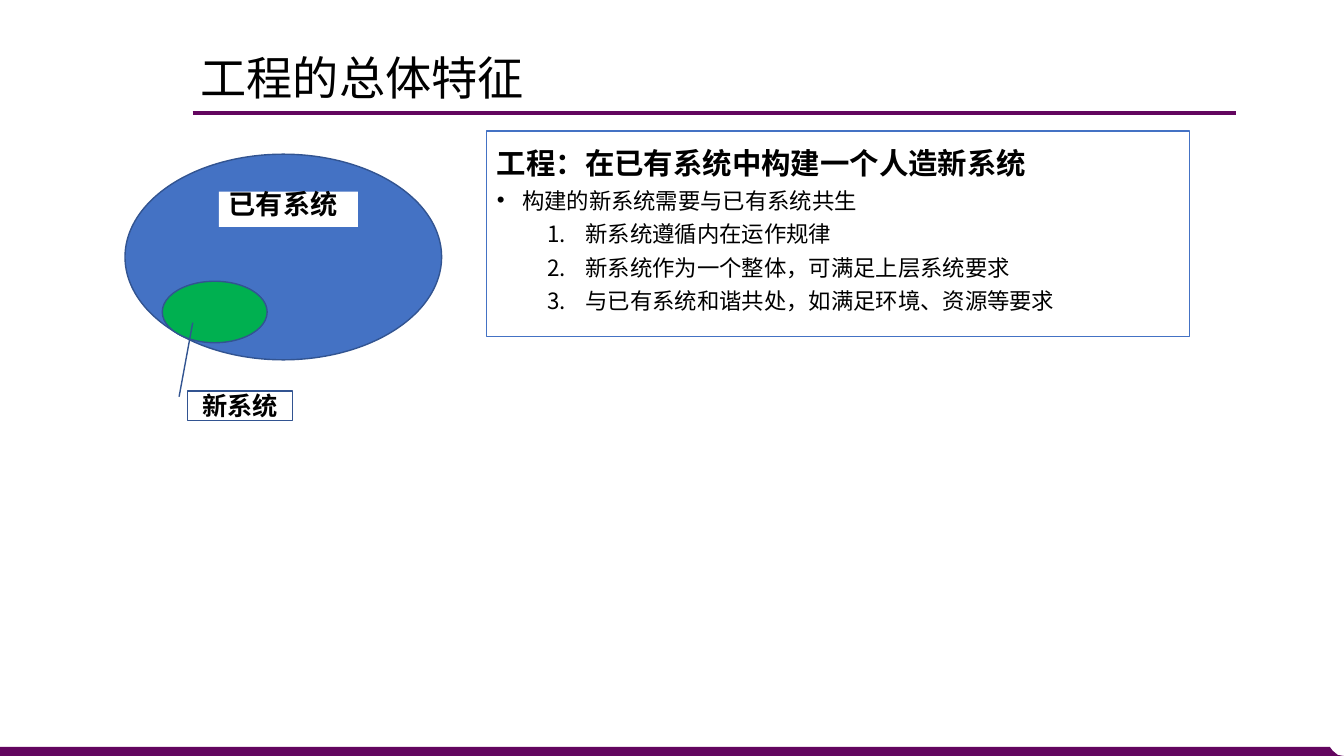
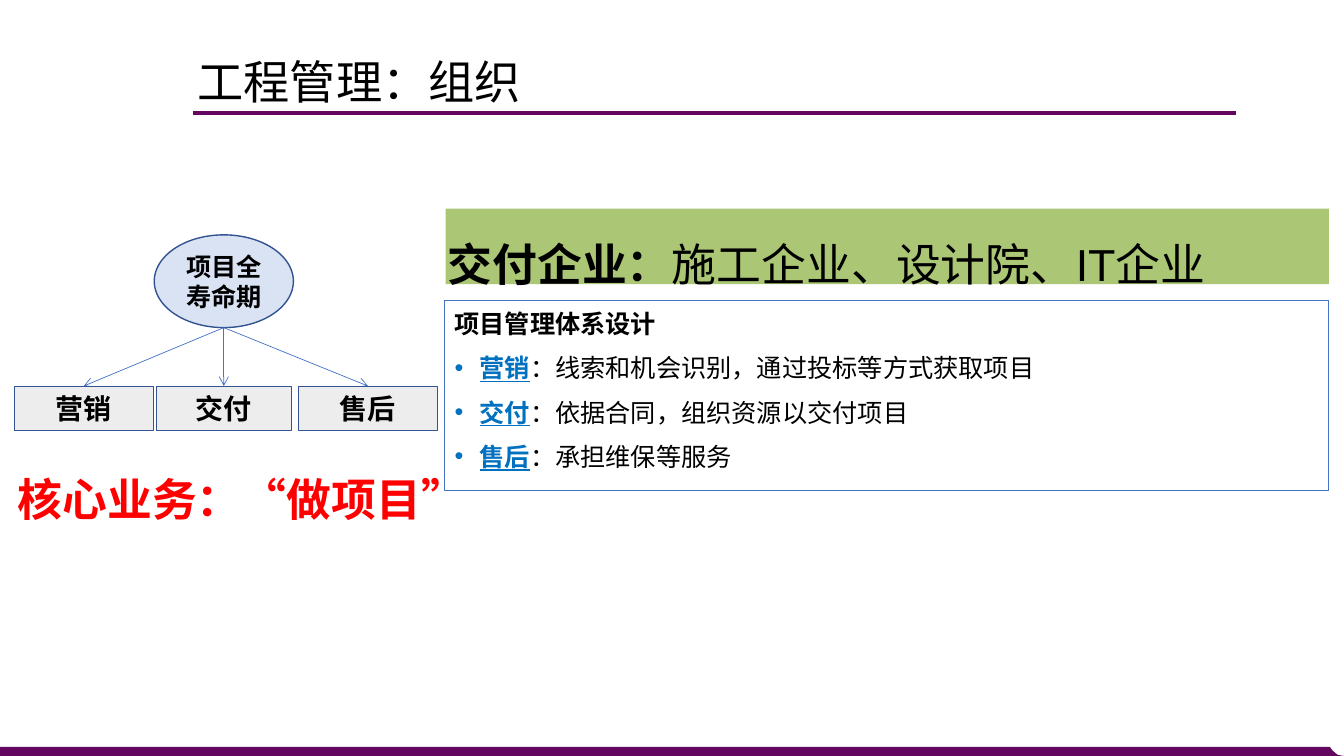
"""Two slides on engineering: its general features and its organisation."""
import pptx
import pptx.util
import pptx.dml.color
import pptx.enum.shapes
import pptx.enum.text
import pptx.oxml.ns
from lxml import etree

Inches, Pt = pptx.util.Inches, pptx.util.Pt
RGBColor = pptx.dml.color.RGBColor
SHAPE = pptx.enum.shapes.MSO_SHAPE
ALIGN = pptx.enum.text.PP_ALIGN
ANCHOR = pptx.enum.text.MSO_ANCHOR
qn = pptx.oxml.ns.qn

W, H = 13.33, 7.5
LATIN, CJK = "Arial", "Noto Sans CJK SC"
PURPLE = RGBColor(0x63, 0x06, 0x5F)
BLUE = RGBColor(0x44, 0x72, 0xC4)
EDGE = RGBColor(0x32, 0x54, 0x91)
LINK = RGBColor(0x00, 0x70, 0xC0)
GREEN = RGBColor(0x00, 0xB0, 0x50)
OLIVE = RGBColor(0x9B, 0xBB, 0x59)
PALE = RGBColor(0xDA, 0xE3, 0xF3)
GREY = RGBColor(0xED, 0xED, 0xED)
RED = RGBColor(0xFF, 0x00, 0x00)
BLACK = RGBColor(0x00, 0x00, 0x00)
WHITE = RGBColor(0xFF, 0xFF, 0xFF)

FEATURES = {
    "title": "工程的总体特征",
    "heading": "工程：在已有系统中构建一个人造新系统",
    "point": "构建的新系统需要与已有系统共生",
    "rules": ["新系统遵循内在运作规律",
              "新系统作为一个整体，可满足上层系统要求",
              "与已有系统和谐共处，如满足环境、资源等要求"],
    "outer": "已有系统",
    "inner": "新系统",
}
ORGANISATION = {
    "title": "工程管理：组织",
    "banner": ("交付企业：", "施工企业、设计院、IT企业"),
    "heading": "项目管理体系设计",
    "stages": [("营销", "：线索和机会识别，通过投标等方式获取项目"),
               ("交付", "：依据合同，组织资源以交付项目"),
               ("售后", "：承担维保等服务")],
    "root": "项目全寿命期",
    "core": "核心业务：“做项目”",
}


def write(sp, text, size=18, bold=True, color=BLACK, font=LATIN, align=ALIGN.LEFT,
          spacing=1.0, before=0, bullet=None, indent=(0, 0)):
    """Add a paragraph to sp; text is a string or a list of (string, overrides)."""
    tf = sp.text_frame
    p = tf.add_paragraph() if tf.text else tf.paragraphs[0]
    p.alignment, p.line_spacing, p.space_before = align, spacing, Pt(before)
    pPr = p._p.get_or_add_pPr()
    if bullet:
        margin, hang = indent
        pPr.set("marL", str(Inches(margin)))
        pPr.set("indent", str(Inches(hang)))
        if bullet == "1.":
            etree.SubElement(pPr, qn("a:buAutoNum"), type="arabicPeriod")
        else:
            etree.SubElement(pPr, qn("a:buFont"), typeface=LATIN)
            etree.SubElement(pPr, qn("a:buChar"), char=bullet)
    for part, own in [(text, {})] if isinstance(text, str) else text:
        r = p.add_run()
        r.text = part
        f = r.font
        f.name, f.size = font, Pt(size)
        f.bold = own.get("bold", bold)
        f.underline = own.get("underline", False)
        f.color.rgb = own.get("color", color)
        rPr = r._r.get_or_add_rPr()
        rPr.set("lang", "zh-CN")
        rPr.find(qn("a:latin")).addnext(rPr.makeelement(qn("a:ea"), {"typeface": CJK}))


def frame(sp, anchor, inset=(0.1, 0.05, 0.05)):
    tf = sp.text_frame
    tf.word_wrap, tf.vertical_anchor = True, anchor
    side, top, bottom = map(Inches, inset)
    tf.margin_left = tf.margin_right = side
    tf.margin_top, tf.margin_bottom = top, bottom
    return sp


def paint(sp, fill=None, line=None, width=1.0):
    sp.shadow.inherit = False
    if fill is None:
        sp.fill.background()
    else:
        sp.fill.solid()
        sp.fill.fore_color.rgb = fill
    if line is None:
        sp.line.fill.background()
    else:
        sp.line.color.rgb = line
        sp.line.width = Pt(width)
    return sp


def add_shape(s, kind, box, fill=None, line=None, width=1.0, anchor=ANCHOR.MIDDLE, **inset):
    sp = s.shapes.add_shape(kind, *map(Inches, box))
    return frame(paint(sp, fill, line, width), anchor, **inset)


def add_text(s, box, **inset):
    return frame(s.shapes.add_textbox(*map(Inches, box)), ANCHOR.MIDDLE, **inset)


def add_line(s, start, end, color, width, arrow=False):
    sp = s.shapes.add_connector(pptx.enum.shapes.MSO_CONNECTOR.STRAIGHT,
                                *map(Inches, start + end))
    sp.line.color.rgb, sp.line.width = color, Pt(width)
    if arrow:
        etree.SubElement(sp.line._get_or_add_ln(), qn("a:tailEnd"), type="arrow")
    etree.SubElement(sp._element.spPr, qn("a:effectLst"))
    return sp


def add_title(s, text, left, top):
    write(add_text(s, (left, top, 7.13, 0.53)), text, size=33, bold=False, spacing=0.9)


def decorate_layout(s):
    top = 7.41
    fb = s.shapes.build_freeform(0, Inches(top), scale=1.0)
    corner = [(13.19, top), (13.22, 7.45), (13.27, 7.49), (W, H), (0, H)]
    fb.add_line_segments([(Inches(x), Inches(y)) for x, y in corner], close=True)
    band = paint(fb.convert_to_shape(), PURPLE)
    rule = add_line(s, (1.91, 1.12), (12.26, 1.12), PURPLE, 2.5)
    for sp in (band, rule):
        s.slide_layout.shapes.element.append(sp._element)


def build_features(s, c):
    add_title(s, c["title"], 1.89, 0.53)
    add_shape(s, SHAPE.OVAL, (1.24, 1.53, 3.14, 2.04), BLUE, EDGE)
    add_shape(s, SHAPE.OVAL, (1.61, 2.79, 1.04, 0.61), GREEN, EDGE)

    sp = add_shape(s, SHAPE.RECTANGLE, (4.83, 1.3, 6.97, 2.04), None, BLUE, 0.75, ANCHOR.TOP)
    write(sp, c["heading"], size=21, spacing=1.25)
    body = dict(size=16, bold=False, spacing=1.25)
    write(sp, c["point"], bullet="•", indent=(0.25, -0.25), **body)
    for rule in c["rules"]:
        write(sp, rule, bullet="1.", indent=(0.88, -0.38), **body)

    sp = add_shape(s, SHAPE.RECTANGLE, (2.17, 1.9, 1.38, 0.35), WHITE, anchor=ANCHOR.TOP)
    write(sp, c["outer"], size=19.4, spacing=0.7)
    sp = add_shape(s, SHAPE.LINE_CALLOUT_1, (1.86, 3.88, 1.04, 0.29), WHITE, EDGE)
    for i, value in enumerate((0.19, -0.08, -2.34, 0.05)):
        sp.adjustments[i] = value
    write(sp, c["inner"], font=CJK, align=ALIGN.CENTER)


def build_organisation(s, c):
    add_title(s, c["title"], 1.86, 0.57)
    tight = dict(inset=(0.02, 0.09, 0.01))
    sp = add_shape(s, SHAPE.RECTANGLE, (4.41, 2.98, 8.77, 1.89), None, BLUE, 0.75, ANCHOR.TOP)
    write(sp, c["heading"], align=ALIGN.JUSTIFY, spacing=1.1)
    for name, detail in c["stages"]:
        write(sp, [(name, dict(color=LINK, underline=True)), (detail, dict(bold=False))],
              align=ALIGN.JUSTIFY, before=10, bullet="•", indent=(0.25, -0.25))

    sp = add_text(s, (-0.5, 4.4, 5.8, 0.75), **tight)
    write(sp, c["core"], size=32, color=RED, align=ALIGN.CENTER, spacing=1.5)

    sp = add_shape(s, SHAPE.RECTANGLE, (4.42, 2.07, 8.76, 0.75), OLIVE, **tight)
    tint = sp._element.spPr.find(qn("a:solidFill"))[0]
    etree.SubElement(tint, qn("a:alpha"), val="83000")
    label, firms = c["banner"]
    write(sp, [(label, {}), (firms, dict(bold=False))], size=32, spacing=1.5)

    x, y, w, h = 1.53, 2.33, 1.38, 0.92
    sp = add_shape(s, SHAPE.OVAL, (x, y, w, h), PALE, EDGE)
    write(sp, c["root"], align=ALIGN.CENTER)
    left, pitch, top = 0.14, 1.41, 3.83
    widths = (1.38, 1.34, 1.38)
    for i, ((name, _), box_w) in enumerate(zip(c["stages"], widths)):
        box_x = left + i * pitch
        add_line(s, (x + w / 2, y + h), (box_x + box_w / 2, top), BLUE, 0.5, arrow=True)
        sp = add_shape(s, SHAPE.RECTANGLE, (box_x, top, box_w, 0.44), GREY, EDGE, 0.75)
        write(sp, name, size=20, align=ALIGN.CENTER)


def main():
    prs = pptx.Presentation()
    prs.slide_width, prs.slide_height = Inches(W), Inches(H)
    blank = prs.slide_layouts[6]
    pages = [(build_features, FEATURES), (build_organisation, ORGANISATION)]
    for i, (build, content) in enumerate(pages):
        s = prs.slides.add_slide(blank)
        if i == 0:
            decorate_layout(s)
        build(s, content)
    prs.save("out.pptx")


if __name__ == "__main__":
    main()
